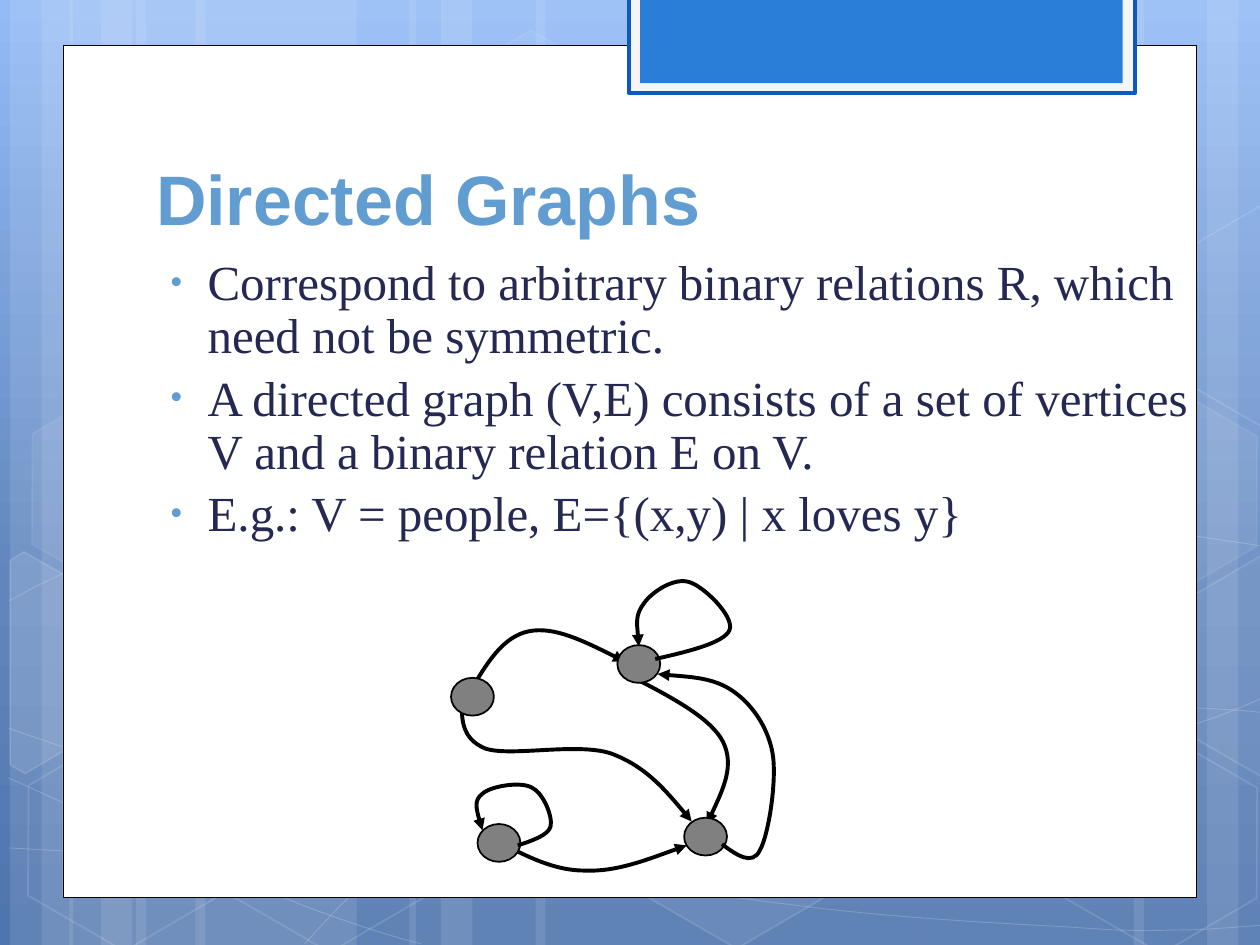
import copy

import pptx
import pptx.dml.color
import pptx.enum.shapes
import pptx.enum.text
import pptx.oxml
import pptx.oxml.ns
import pptx.util

Inches = pptx.util.Inches
Pt = pptx.util.Pt
RGBColor = pptx.dml.color.RGBColor
MSO_SHAPE = pptx.enum.shapes.MSO_SHAPE
MSO_ANCHOR = pptx.enum.text.MSO_ANCHOR

WHITE = RGBColor(0xFF, 0xFF, 0xFF)
BLACK = RGBColor(0x00, 0x00, 0x00)
GRAY = RGBColor(0x80, 0x80, 0x80)
PALE = RGBColor(0xF5, 0xF5, 0xF5)
TAB_EDGE = RGBColor(0x0E, 0x58, 0xC4)
TAB_BLUE = RGBColor(0x29, 0x7F, 0xD5)
ACCENT = RGBColor(0x62, 0x9D, 0xD1)
NAVY = RGBColor(0x24, 0x28, 0x52)
SKY = [
    (0, RGBColor(0x93, 0xBB, 0xF6)),
    (0.62, RGBColor(0x61, 0x86, 0xBE)),
    (1, RGBColor(0x4F, 0x75, 0xAE)),
]

STRIPE_PATTERN = [(1, 1.75), (0, 0.5), (0.25, 0.83)]
WAVES = [
    [(0.07, 6.73), (0.61, 6.76), (1.15, 6.79), (1.9, 6.78), (2.65, 6.77), (3.58, 6.75), (4.58, 6.65),
     (5.58, 6.55), (7, 6.36), (7.92, 6.17), (8.83, 5.98), (9.77, 5.68), (10.07, 5.51)],
    [(0.07, 4.77), (0.36, 4.61), (0.65, 4.46), (1.21, 4.31), (1.78, 4.16), (2.59, 3.94), (3.47, 3.87),
     (4.36, 3.8), (5.44, 3.79), (6.54, 3.87), (7.64, 3.95), (9.47, 4.26), (10.07, 4.34)],
    [(0.06, 6.17), (1.27, 6.72), (2.47, 7.27), (3.34, 7.49)],
    [(0.07, 5.78), (0.38, 5.89), (0.7, 6), (1.28, 6.16), (1.86, 6.31), (2.73, 6.56), (3.57, 6.73),
     (4.4, 6.9), (5.45, 7.08), (6.28, 7.18), (7.11, 7.29), (8, 7.33), (8.53, 7.36),
     (9.05, 7.4), (9.19, 7.38), (9.45, 7.38), (9.71, 7.37), (9.89, 7.35), (10.07, 7.34)],
    [(2.42, 7.49), (2.6, 7.29), (2.78, 7.09), (3.02, 6.91), (3.26, 6.73), (3.6, 6.53), (3.88, 6.39),
     (4.16, 6.25), (4.33, 6.19), (4.7, 6.09), (5.06, 5.99), (5.73, 5.85), (6.08, 5.78),
     (6.44, 5.71), (6.49, 5.71), (6.8, 5.69), (7.11, 5.66), (7.6, 5.63), (7.94, 5.62),
     (8.29, 5.61), (8.86, 5.62), (8.86, 5.62), (9.08, 5.62), (9.31, 5.62), (9.53, 5.62),
     (9.71, 5.63), (9.88, 5.64), (9.97, 5.65), (10.06, 5.66), (10.03, 5.65), (10.06, 5.66)],
]
HEXAGONS = [
    (3.34, 0.36, 4, 8), (4.97, 5.89, 6, 12), (0.11, 5.91, 0, 12), (0.14, 3.12, 7, 8),
    (1.74, 5.92, 0, 12), (7.53, 4.53, 10, 12), (8.34, 5.93, 0, 12), (8.34, 3.14, 7, 8),
]
LEFT_CUT = [(0.08, 4.45), (0.19, 4.38), (0.96, 4.82), (0.95, 5.7), (0.2, 6.14), (0.08, 6.07)]
RIGHT_CUT = [(9.26, 4.85), (10.01, 4.41), (10.09, 4.46), (10.09, 6.13), (10.02, 6.17), (9.26, 5.73)]

NODES = [(0.08, 0.88), (1.93, 1.99), (1.4, 0.62), (0.29, 2.04)]
EDGES_BEHIND = [
    [(0.23, 0.99), (0.36, 0.77), (0.49, 0.55), (0.7, 0.51), (0.9, 0.47), (1.18, 0.61), (1.46, 0.75)],
    [(1.57, 0.9), (1.86, 1.05), (2.15, 1.21), (2.24, 1.39), (2.33, 1.58), (2.22, 1.81), (2.11, 2.04)],
    [(0.47, 2.19), (0.69, 2.3), (0.9, 2.41), (1.14, 2.41), (1.39, 2.42), (1.67, 2.31), (1.95, 2.21)],
    [(0.17, 1.04), (0.16, 1.2), (0.16, 1.36), (0.35, 1.44), (0.55, 1.51), (1.08, 1.39), (1.35, 1.48),
     (1.62, 1.58), (1.81, 1.8), (1.99, 2.02)],
]
EDGES_FRONT = [
    [(1.7, 0.73), (1.97, 0.67), (2.25, 0.6), (2.29, 0.5), (2.33, 0.39), (2.08, 0.15), (1.97, 0.12),
     (1.85, 0.08), (1.67, 0.2), (1.61, 0.29), (1.54, 0.38), (1.56, 0.5), (1.57, 0.63)],
    [(0.61, 2.21), (0.73, 2.17), (0.85, 2.13), (0.87, 2.06), (0.89, 1.98), (0.81, 1.79), (0.72, 1.75),
     (0.63, 1.7), (0.39, 1.74), (0.33, 1.8), (0.26, 1.85), (0.29, 1.97), (0.33, 2.09)],
    [(2.23, 2.2), (2.35, 2.29), (2.47, 2.37), (2.53, 2.25), (2.6, 2.13), (2.67, 1.68), (2.63, 1.47),
     (2.59, 1.26), (2.46, 1.08), (2.31, 0.98), (2.16, 0.88), (1.94, 0.87), (1.72, 0.85)],
]
BULLETS = [
    "Correspond to arbitrary binary relations R, which need not be symmetric.",
    "A directed graph (V,E) consists of a set of vertices V and a binary relation E on V.",
    "E.g.: V = people, E={(x,y) | x loves y}",
]


def add_element(parent, tag, **attributes):
    """Append a drawing element with the given attributes."""
    element = parent.makeelement(pptx.oxml.ns.qn(tag), attributes)
    parent.append(element)
    return element


def style(shape, fill=None, line=None, line_width=1, fill_alpha=100, line_alpha=100):
    """Set fill and line, with opacity in percent."""
    shape.shadow.inherit = False
    for part, color, alpha, query in (
        (shape.fill, fill, fill_alpha, "p:spPr/a:solidFill/a:srgbClr"),
        (shape.line.fill, line, line_alpha, "p:spPr/a:ln/a:solidFill/a:srgbClr"),
    ):
        if color is None:
            part.background()
            continue
        part.solid()
        part.fore_color.rgb = color
        if alpha < 100:
            add_element(shape.element.xpath(query)[0], "a:alpha", val=str(alpha * 1000))
    if line is not None:
        shape.line.width = Pt(line_width)
    return shape


def add_box(slide, kind, left, top, width, height, **look):
    """Add a styled preset shape."""
    shape = slide.shapes.add_shape(kind, Inches(left), Inches(top), Inches(width), Inches(height))
    return style(shape, **look)


def add_outline(slide, left, top, points, close, **look):
    """Add a freeform through points relative to left and top."""
    start, *rest = [(Inches(left + x), Inches(top + y)) for x, y in points]
    builder = slide.shapes.build_freeform(*start)
    builder.add_line_segments(rest, close=close)
    return style(builder.convert_to_shape(), **look)


def add_curve(slide, left, top, points, **look):
    """Add an open cubic curve from anchors and control points."""
    shape = add_outline(slide, left, top, points, False, **look)
    outline = shape.element.xpath(".//a:path")[0]
    segments = outline.xpath("a:lnTo")
    for index in range(0, len(segments), 3):
        curve = add_element(outline, "a:cubicBezTo")
        for segment in segments[index:index + 3]:
            curve.append(segment[0])
            outline.remove(segment)
    return shape


def add_backdrop(slide, left, top, width, height):
    """Place the gradient, stripes, waves and hexagons."""
    fill = slide.background.fill
    fill.gradient()
    fill.gradient_angle = 270
    stop_list = slide.element.xpath(".//a:gsLst")[0]
    stop_list.append(copy.deepcopy(stop_list[0]))
    for stop, (position, color) in zip(fill.gradient_stops, SKY):
        stop.position = position
        stop.color.rgb = color

    stripes = [(start + offset, size) for start in (0.08, 0.55) for offset, size in STRIPE_PATTERN]
    stripes += [(width + 0.08 - offset - size, size) for offset, size in STRIPE_PATTERN]
    stripes += [(4.25, 3.08), (3.25, 0.5), (3.5, 0.83)]
    for offset, size in stripes:
        add_box(slide, MSO_SHAPE.RECTANGLE, left + offset, top, size, height, fill=WHITE, fill_alpha=10)
    for points in WAVES:
        add_curve(slide, left, top, points, line=WHITE, line_width=0.5, line_alpha=20)
    for x, y, fill_alpha, line_alpha in HEXAGONS:
        hexagon = add_box(slide, MSO_SHAPE.HEXAGON, left + x, top + y, 1.75, 1.52, line=WHITE,
                          fill=WHITE if fill_alpha else None, fill_alpha=fill_alpha, line_alpha=line_alpha)
        hexagon.adjustments[0] = 0.285
        hexagon.adjustments[1] = 1.155
        hexagon.rotation = 30
    for points, rise, color, alpha in ((LEFT_CUT, 0, WHITE, 10), (RIGHT_CUT, 0, WHITE, 4),
                                       (RIGHT_CUT, 2.78, None, 0)):
        add_outline(slide, left, top - rise, points, True, fill=color, fill_alpha=alpha,
                    line=WHITE, line_alpha=12)


def add_panel(slide, left, top, width, height):
    """Place the white panel and the blue tab on its top edge."""
    add_box(slide, MSO_SHAPE.RECTANGLE, left, top, width, height, fill=WHITE, line=BLACK, line_width=0.5)
    add_box(slide, MSO_SHAPE.RECTANGLE, left + 4.49, top - 0.38, 4.02, 0.76,
            fill=PALE, line=TAB_EDGE, line_width=2)
    add_box(slide, MSO_SHAPE.RECTANGLE, left + 4.58, top - 0.38, 3.83, 0.68, fill=TAB_BLUE)


def add_text_frame(slide, left, top, width, height):
    """Add a wrapping text box and return its frame."""
    box = slide.shapes.add_textbox(Inches(left), Inches(top), Inches(width), Inches(height))
    box.text_frame.word_wrap = True
    return box.text_frame


def set_font(paragraph, name, size, color, bold=False):
    """Set the font of a whole paragraph."""
    font = paragraph.font
    font.name, font.size, font.bold = name, Pt(size), bold
    font.color.rgb = color


def add_title(slide, left, top, width, height):
    """Place the title on the bottom of its box."""
    frame = add_text_frame(slide, left, top, width, height)
    frame.vertical_anchor = MSO_ANCHOR.BOTTOM
    frame.text = "Directed Graphs"
    set_font(frame.paragraphs[0], "Arial", 40, ACCENT, bold=True)


def add_bullets(slide, left, top, width, height):
    """Place the bulleted statements."""
    frame = add_text_frame(slide, left, top, width, height)
    frame.text = "\n".join(BULLETS)
    for index, paragraph in enumerate(frame.paragraphs):
        paragraph.line_spacing = 0.9
        paragraph.space_before = Pt(5.6 if index else 0)
        properties = paragraph._p.get_or_add_pPr()
        properties.set("marL", str(Inches(0.38)))
        properties.set("indent", str(Inches(-0.3)))
        add_element(add_element(properties, "a:buClr"), "a:srgbClr", val=str(ACCENT))
        add_element(properties, "a:buSzPct", val="76000")
        add_element(properties, "a:buFont", typeface="Times New Roman")
        add_element(properties, "a:buChar", char="•")
        set_font(paragraph, "Times New Roman", 28, NAVY)


def add_edges(slide, left, top, edges):
    """Draw curved arrows between nodes."""
    for points in edges:
        edge = add_curve(slide, left, top, points, line=BLACK, line_width=2.25)
        add_element(edge.element.xpath("p:spPr/a:ln")[0], "a:tailEnd", type="triangle")


def add_graph(slide, left, top):
    """Place the directed graph with its loops in front."""
    add_edges(slide, left, top, EDGES_BEHIND)
    for x, y in NODES:
        add_box(slide, MSO_SHAPE.OVAL, left + x, top + y, 0.34, 0.3, fill=GRAY, line=BLACK)
    add_edges(slide, left, top, EDGES_FRONT)


def main():
    """Build and save the slide."""
    presentation = pptx.Presentation()
    presentation.slide_width, presentation.slide_height = Inches(10), Inches(7.5)
    slide = presentation.slides.add_slide(presentation.slide_layouts[6])
    add_backdrop(slide, 0, 0, 10, 7.5)
    add_panel(slide, 0.5, 0.36, 9, 6.76)
    add_title(slide, 1.14, 1.12, 7.68, 0.83)
    add_bullets(slide, 1.17, 2, 8.5, 2.58)
    add_graph(slide, 3.5, 4.5)
    presentation.save("out.pptx")


if __name__ == "__main__":
    main()
